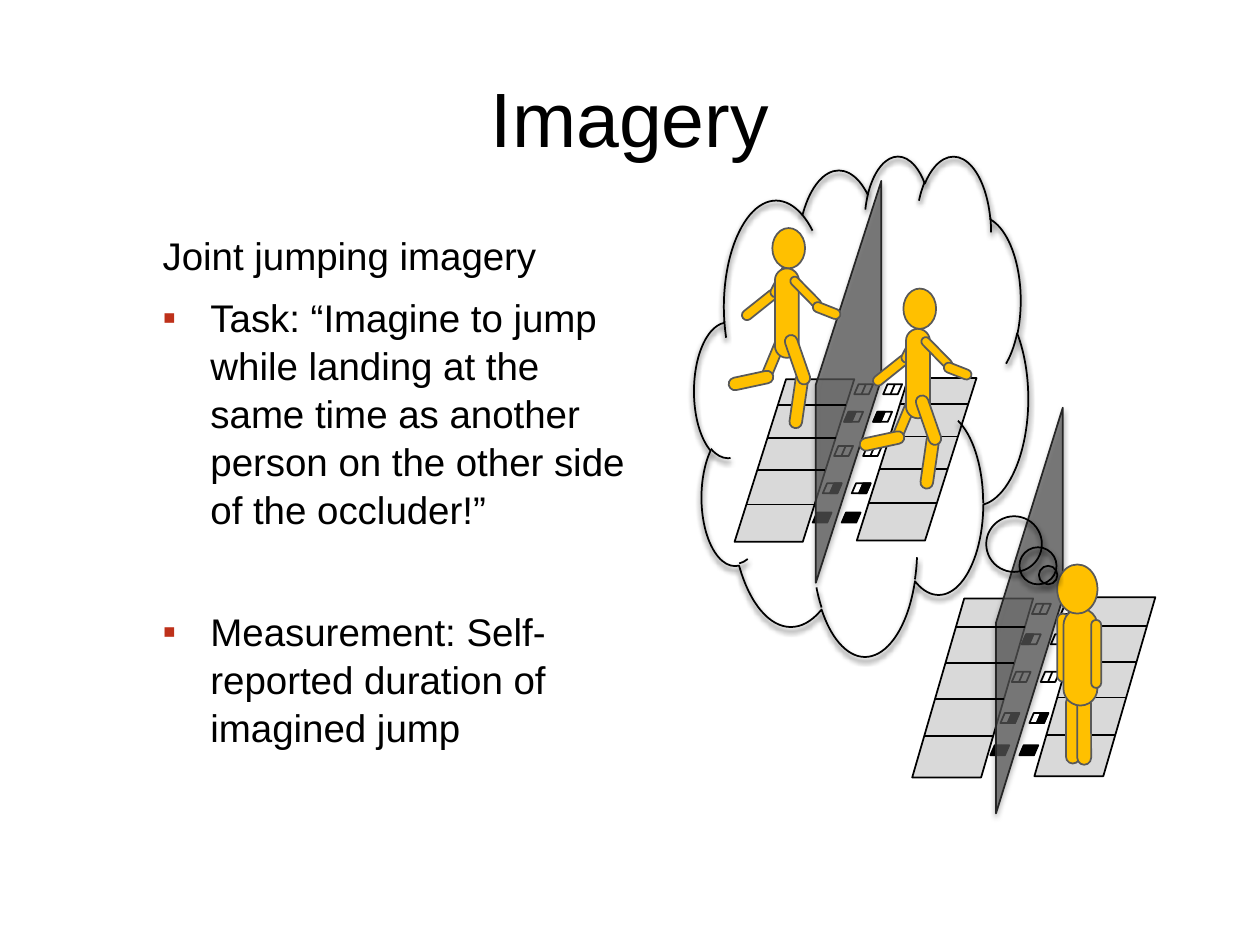
from lxml import etree
from pptx import Presentation
from pptx import util as u
from pptx.dml.color import RGBColor
from pptx.enum import shapes, text
from pptx.oxml.ns import qn

# Content
TITLE = "Imagery"
BODY = [  # wording, bulleted, space before in points
    ("Joint jumping imagery", False, 0),
    ("Task: “Imagine to jump while landing at the same time as another "
     "person on the other side of the occluder!”", True, 8),
    ("Measurement: Self-reported duration of imagined jump", True, 42),
]

THEME = dict(font="Arial", title=44, body=22, ink="000000", bullet="BE311A",
             floor="D9D9D9", wall="595959", rim="262626",
             skin="FFC000", edge="595959")

# Scenes in inches: track box, wall box before turning, wall slant,
# marks by row for each column: - none, L left half, R right half, F full
REAL = dict(track=(7.24, 4.75, 0.96, 1.42), wall=(6.56, 4.58, 3.22, 0.53),
            slant=3.22, marks=("-L-RF", "-R-RF"))
DREAM = dict(track=(5.83, 3.01, 0.95, 1.29), wall=(5.14, 2.77, 3.19, 0.52),
             slant=3.11, marks=("-L-RF", "-L-RF"))
CELLS = [(0.95, 0.03), (0.87, 0.2), (0.79, 0.41), (0.7, 0.64), (0.62, 0.82)]
RUNGS = [0.16, 0.36, 0.56, 0.77]
CELL_W, CELL_H, LEAN = 0.15, 0.08, 0.43
TRACK_GAP, CELL_GAP = 0.97, 0.23

# Figures: left, top, width, height, turn
STANDER = [
    (8.46, 5.52, 0.11, 0.54, 0), (8.55, 5.53, 0.11, 0.54, 0),
    (8.39, 4.87, 0.09, 0.54, 0), (8.44, 4.83, 0.27, 0.77, 0),
    (8.66, 4.92, 0.08, 0.54, 0),
]
STAND_HEAD = (8.39, 4.48, 0.32, 0.39, 0)
NEAR_ARM = [(5.99, 2.25, 0.08, 0.34, 51.4), (6.16, 2.09, 0.08, 0.28, 27.3)]
JUMPER = [
    (6.1, 2.64, 0.08, 0.41, 22.6), (5.91, 2.84, 0.1, 0.36, 77.9),
    (6.15, 2.13, 0.19, 0.71, 0), (6.29, 2.96, 0.1, 0.44, 8.2),
    (6.28, 2.65, 0.1, 0.41, 340.9), (6.36, 2.16, 0.07, 0.32, 135.6),
    (6.52, 2.35, 0.08, 0.23, 111.5),
]
JUMP_HEAD = (6.13, 1.81, 0.26, 0.32, 0)
JUMPS = [(0, 0, 0), (1.04, 0.48, 0.04)]  # shift right, down, extra arm drop
CLOUD = (5.51, 1.23, 2.65, 3.97)

KIND = shapes.MSO_SHAPE


def cm(inch):
    return u.Cm(inch * 2.54)


def tint(name):
    return RGBColor.from_string(THEME[name])


def sub(node, tag, **attrs):
    return etree.SubElement(node, qn(tag), attrs)


def draw(slide, kind, box, fill=None, line="ink", turn=0, adj=()):
    form = slide.shapes.add_shape(kind, *map(cm, box))
    form.shadow.inherit = False
    if fill:
        form.fill.solid()
        form.fill.fore_color.rgb = tint(fill)
    else:
        form.fill.background()
    form.line.color.rgb = tint(line)
    form.line.width = u.Pt(1)
    form.rotation = turn
    for i, val in enumerate(adj):
        form.adjustments[i] = val
    return form


def rule(slide, x1, y1, x2, y2):
    line = slide.shapes.add_connector(
        shapes.MSO_CONNECTOR.STRAIGHT, *map(cm, (x1, y1, x2, y2)))
    line.line.color.rgb = tint("ink")
    line.line.width = u.Pt(1)
    sub(line._element.spPr, "a:effectLst")


def shade(form, alpha):
    glow = sub(form._element.spPr.find(qn("a:effectLst")), "a:outerShdw",
               blurRad=str(u.Pt(3.1)), dist=str(u.Pt(1.8)), dir="5400000",
               algn="ctr", rotWithShape="0")
    hue = sub(glow, "a:srgbClr", val=THEME["ink"])
    sub(hue, "a:alpha", val=str(alpha * 1000))


def track(slide, box):
    draw(slide, KIND.PARALLELOGRAM, box, "floor", adj=[LEAN])


def rungs(slide, box):
    x, y, w, h = box
    slant = LEAN * w
    for part in RUNGS:
        left, top = x + slant * (1 - part), y + h * part
        rule(slide, left + w - slant, top, left, top)


def cells(slide, box, shift, marks):
    x, y, w, h = box
    half = CELL_W / 2 + LEAN * CELL_H / 2
    for (dx, part), mark in zip(CELLS, marks):
        left, top = x + dx + shift, y + h * part
        if mark in "LR":
            start = left if mark == "L" else left + CELL_W - half
            draw(slide, KIND.PARALLELOGRAM, (start, top, half, CELL_H),
                 "ink", adj=[LEAN])
        rule(slide, left + half, top, left + CELL_W - half, top + CELL_H)
        draw(slide, KIND.PARALLELOGRAM, (left, top, CELL_W, CELL_H),
             "ink" if mark == "F" else None, adj=[LEAN])


def wall(slide, box, slant):
    form = draw(slide, KIND.PARALLELOGRAM, box, "wall", "rim", 90, [slant])
    props = form._element.spPr
    props.find(qn("a:xfrm")).set("flipV", "1")
    sub(props.find(qn("a:solidFill"))[0], "a:alpha", val="71000")
    shade(form, 35)


def scene(slide, track_box, wall_box, slant, marks):
    x, y, w, h = track_box
    right = (x + TRACK_GAP, y - 0.01, w, h)
    track(slide, track_box)
    cells(slide, track_box, 0, marks[0])
    wall(slide, wall_box, slant)
    track(slide, right)
    rungs(slide, right)
    cells(slide, track_box, CELL_GAP, marks[1])
    rungs(slide, track_box)


def limbs(slide, parts, dx=0, dy=0, kind=KIND.ROUNDED_RECTANGLE):
    for x, y, w, h, turn in parts:
        draw(slide, kind, (x + dx, y + dy, w, h), "skin", "edge", turn,
             [0.5] if kind == KIND.ROUNDED_RECTANGLE else [])


def write(para, words, size, hue="ink"):
    run = para.add_run()
    run.text = words
    run.font.name = THEME["font"]
    run.font.size = u.Pt(THEME[size])
    run.font.color.rgb = tint(hue)


def place(holder, box):
    holder.left, holder.top, holder.width, holder.height = map(cm, box)
    frame = holder.text_frame
    frame.word_wrap = True
    frame.auto_size = text.MSO_AUTO_SIZE.NONE
    return frame


def main():
    deck = Presentation()
    deck.slide_width, deck.slide_height = cm(10), cm(7.5)
    slide = deck.slides.add_slide(deck.slide_layouts[1])

    # Title and list
    frame = place(slide.shapes.title, (0.5, 0.3, 9, 1.25))
    frame.vertical_anchor = text.MSO_ANCHOR.MIDDLE
    frame.paragraphs[0].alignment = text.PP_ALIGN.CENTER
    write(frame.paragraphs[0], TITLE, "title")

    frame = place(slide.placeholders[1], (1.19, 1.78, 3.96, 4.91))
    for i, (words, dotted, gap) in enumerate(BODY):
        para = frame.add_paragraph() if i else frame.paragraphs[0]
        props = para._p.get_or_add_pPr()
        dent = cm(0.38) if dotted else 0
        props.set("marL", str(dent))
        props.set("indent", str(-dent))
        if dotted:
            sub(sub(props, "a:buClr"), "a:srgbClr", val=THEME["bullet"])
            sub(props, "a:buFont", typeface=THEME["font"])
            sub(props, "a:buChar", char="▪")
        else:
            sub(props, "a:buNone")
        para.space_before = u.Pt(gap)
        para.line_spacing = 1.04
        write(para, words, "body")

    # Person standing at the real track
    scene(slide, REAL["track"], REAL["wall"], REAL["slant"], REAL["marks"])
    limbs(slide, STANDER)
    limbs(slide, [STAND_HEAD], kind=KIND.OVAL)

    # Two jumpers in the thought cloud
    scene(slide, DREAM["track"], DREAM["wall"], DREAM["slant"], DREAM["marks"])
    for dx, dy, drop in JUMPS:
        limbs(slide, NEAR_ARM, dx, dy + drop)
        limbs(slide, [JUMP_HEAD], dx, dy, KIND.OVAL)
        limbs(slide, JUMPER, dx, dy)
    cloud = draw(slide, KIND.CLOUD_CALLOUT, CLOUD, adj=[0.56, 0.34])
    shade(cloud, 81)

    deck.save("out.pptx")


if __name__ == "__main__":
    main()
